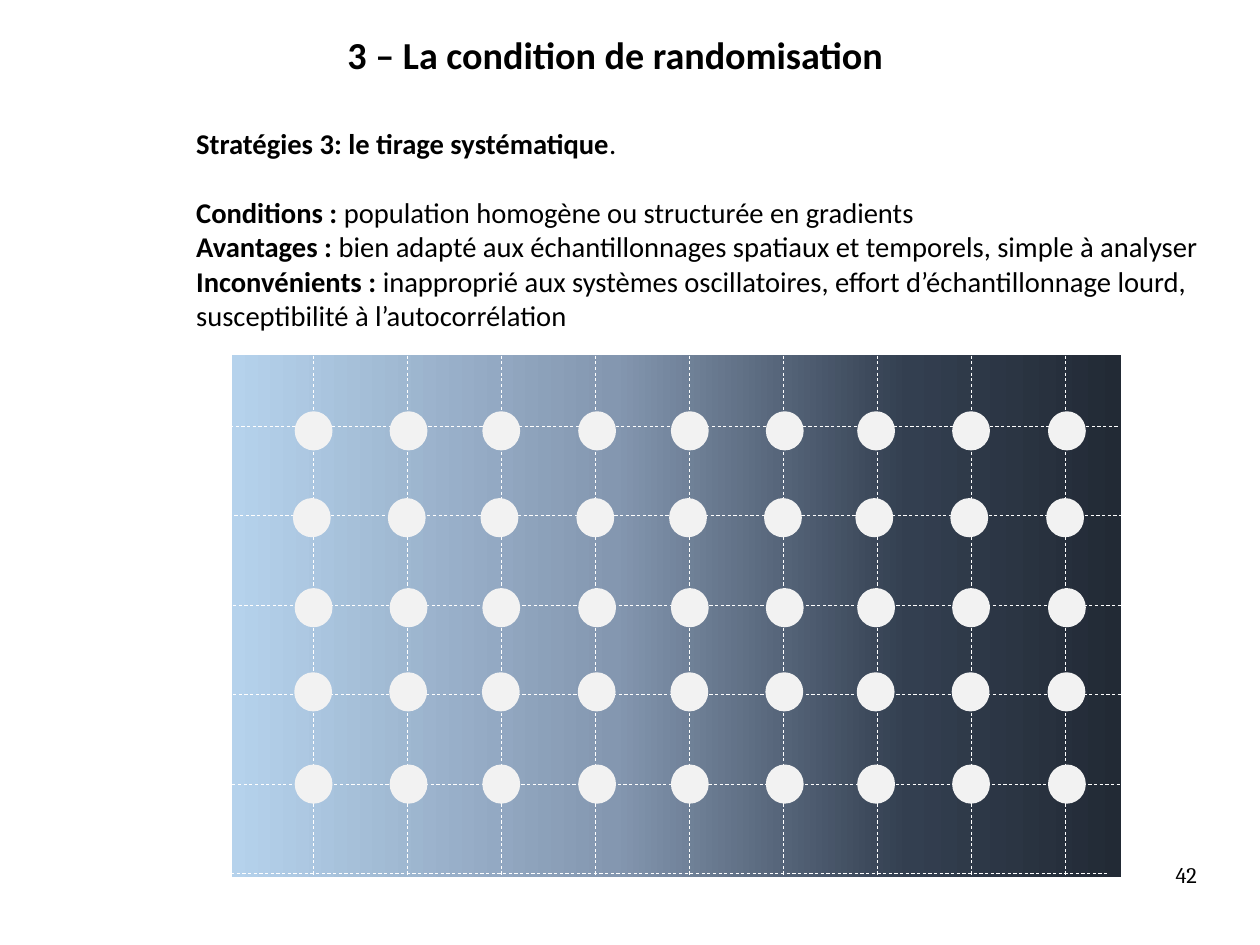
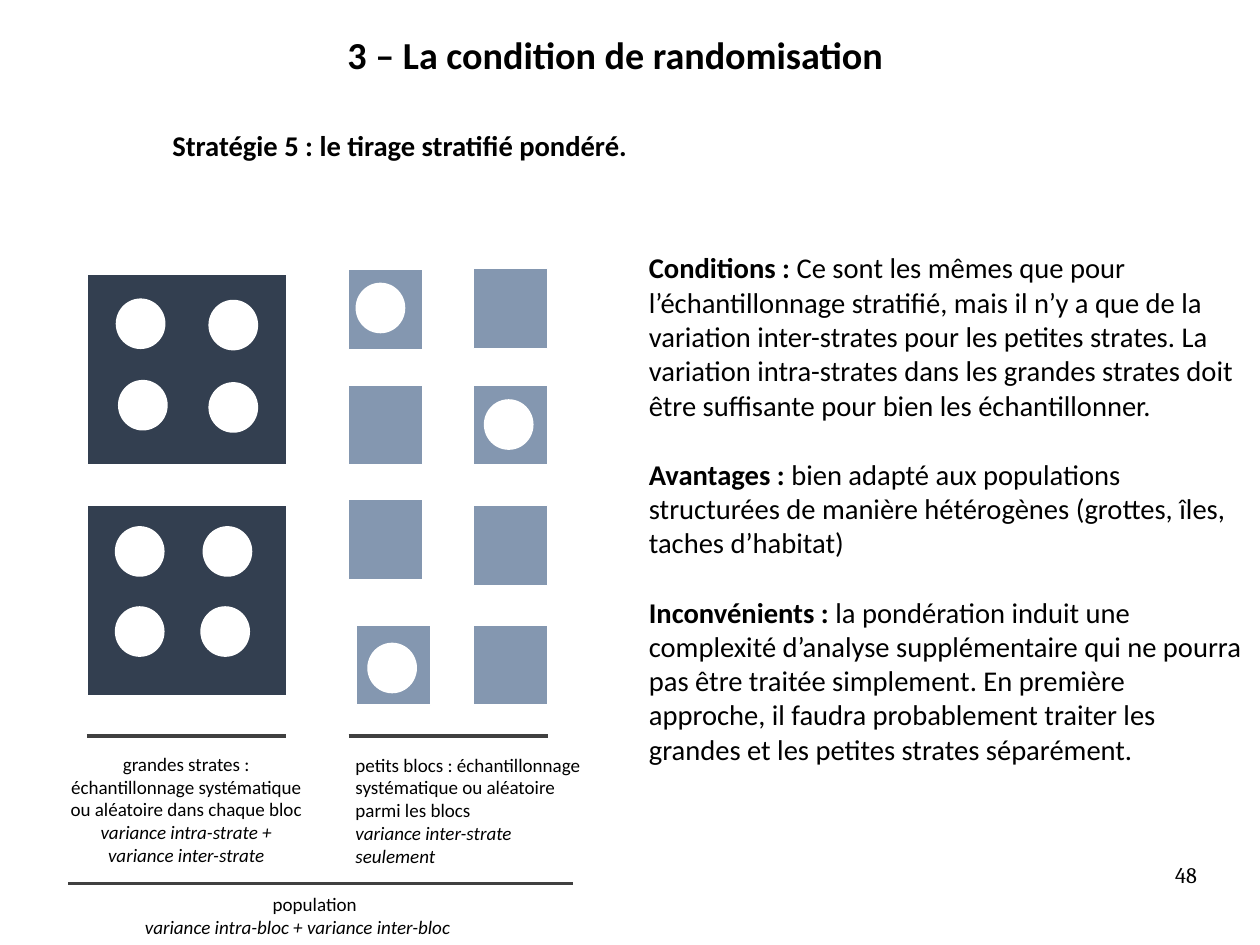
from pptx import Presentation
from pptx import util as u
from pptx.dml.color import RGBColor
from pptx.enum import dml, shapes, text
from pptx.oxml import parse_xml
from pptx.oxml.ns import nsdecls, qn

# Shared style
BLACK, WHITE, DOT, RULE = "000000", "FFFFFF", "F2F2F2", "404040"
DARK, MEDIUM = "333F50", "8497B0"
GRADIENT = [(0, "B5D2EC"), (43, MEDIUM), (76, DARK), (100, "222A35")]
LEFT, CENTER, RIGHT, JUSTIFY = (text.PP_ALIGN.LEFT, text.PP_ALIGN.CENTER,
                                text.PP_ALIGN.RIGHT, text.PP_ALIGN.JUSTIFY)
TITLE = "3 – La condition de randomisation"
BLANK_LINE = 22  # points

# Text: paragraphs are (alignment, space before, runs); runs are (text, style)
SYSTEMATIC_TEXT = [
    (LEFT, 0, [("Stratégies 3: le tirage systématique", "b"), (".", "")]),
    (LEFT, BLANK_LINE, [("Conditions : ", "b"),
                        ("population homogène ou structurée en gradients", "")]),
    (LEFT, 0, [("Avantages : ", "b"),
               ("bien adapté aux échantillonnages spatiaux et temporels, simple à analyser", "")]),
    (LEFT, 0, [("Inconvénients : ", "b"),
               ("inapproprié aux systèmes oscillatoires, effort d’échantillonnage lourd, "
                "susceptibilité à l’autocorrélation", "")]),
]
STRATIFIED_HEADING = [(LEFT, 0, [("Stratégie 5 : le tirage stratifié pondéré.", "b")])]
STRATIFIED_TEXT = [
    (LEFT, 0, [("Conditions : ", "b"),
               ("Ce sont les mêmes que pour l’échantillonnage stratifié, mais il n’y a que de la "
                "variation inter-strates pour les petites strates. La variation intra-strates dans "
                "les grandes strates doit être suffisante pour bien les échantillonner.", "")]),
    (LEFT, BLANK_LINE, [("Avantages : ", "b"),
                        ("bien adapté aux populations structurées de manière hétérogènes "
                         "(grottes, îles, taches d’habitat)", "")]),
    (LEFT, BLANK_LINE, [("Inconvénients : ", "b"),
                        ("la pondération induit une complexité d’analyse supplémentaire qui ne "
                         "pourra pas être traitée simplement. En première approche, il faudra "
                         "probablement traiter les grandes et les petites strates séparément.", "")]),
]
CAPTIONS = [  # box, paragraphs
    ((1.27, 16.59, 5.74, 2.82), [
        (CENTER, 0, [("grandes strates : échantillonnage systématique ou aléatoire "
                      "dans chaque bloc", "")]),
        (CENTER, 0, [("variance intra-strate + variance inter-strate", "i")])]),
    ((7.65, 16.61, 5.74, 2.82), [
        (LEFT, 0, [("petits blocs : échantillonnage systématique ou aléatoire parmi les blocs", "")]),
        (LEFT, 0, [("variance inter-strate seulement", "i")])]),
    ((2.97, 19.71, 8.05, 1.27), [
        (CENTER, 0, [("population", "")]),
        (JUSTIFY, 0, [("variance intra-bloc + variance inter-bloc", "i")])]),
]

# Sampling grid, in cm
FIELD = (5.16, 7.9, 19.76, 11.58)
GRID_X, STEP_X, COLUMNS = 6.96, 2.09, 9
GRID_Y, STEP_Y = 9.47, 1.99
ROW_STARTS = [5.11, 5.21, 5.18, 5.18, 5.16, 4.88]
DOT_LEFTS = [6.55, 8.66, 10.72, 12.85, 14.91, 17.02, 19.05, 21.16, 23.29]
DOT_ROWS = [(9.14, 0), (11.07, -0.04), (13.07, 0), (14.94, -0.01), (16.99, 0)]  # top, shift
DOT_SIZE = (0.84, 0.87)

# Strata, in cm
STRATA = [  # size, colour, corners
    ((4.45, 4.24), DARK, [(1.93, 6.1), (1.93, 11.23)]),
    ((1.65, 1.78), MEDIUM, [(7.75, 5.99), (7.75, 8.56), (7.75, 11.1), (7.92, 13.89),
                            (10.52, 5.97), (10.52, 8.56), (10.52, 11.23), (10.52, 13.89)]),
]
SAMPLE_SIZE = (1.07, 1.09)
SAMPLES = [(2.59, 6.65), (4.65, 6.68), (2.64, 8.46), (4.65, 8.51),
           (2.57, 11.71), (4.52, 11.71), (2.57, 13.49), (4.47, 13.49),
           (8.18, 14.3), (10.77, 8.89), (7.92, 6.3)]
RULES = [(1.93, 6.35, 16.36), (7.75, 12.17, 16.36), (1.52, 12.73, 19.63)]  # from, to, y


def color(value):
    return RGBColor.from_string(value)


def add_text(slide, box, paragraphs, size, font="Calibri", inset=True):
    frame = slide.shapes.add_textbox(*map(u.Cm, box)).text_frame
    frame.word_wrap = True
    if not inset:
        frame.margin_left = frame.margin_right = frame.margin_top = frame.margin_bottom = 0
    for index, (alignment, before, runs) in enumerate(paragraphs):
        paragraph = frame.paragraphs[0] if index == 0 else frame.add_paragraph()
        paragraph.alignment = alignment
        paragraph.space_before = u.Pt(before)
        paragraph.font.name, paragraph.font.size = font, u.Pt(size)
        paragraph.font.color.rgb = color(BLACK)
        for words, style in runs:
            run = paragraph.add_run()
            run.text = words
            if style == "b":
                run.font.bold = True
            elif style == "i":
                run.font.italic = True


def add_shape(slide, kind, box, fill=None, outline=None):
    shape = slide.shapes.add_shape(kind, *map(u.Cm, box))
    shape.shadow.inherit = False
    if fill:
        shape.fill.solid()
        shape.fill.fore_color.rgb = color(fill)
    if outline:
        shape.line.color.rgb = color(outline)
        shape.line.width = u.Pt(1)
    else:
        shape.line.fill.background()
    return shape


def add_line(slide, ends, line_color, width, dashed=False):
    line = slide.shapes.add_connector(shapes.MSO_CONNECTOR.STRAIGHT, *map(u.Cm, ends))
    line.line.color.rgb = color(line_color)
    line.line.width = u.Pt(width)
    if dashed:
        line.line.dash_style = dml.MSO_LINE.DASH
    line.element.spPr.append(parse_xml(f"<a:effectLst {nsdecls('a')}/>"))


def set_gradient(shape, stops):
    shape.fill.gradient()
    shape.fill.gradient_angle = 0
    stop_list = shape.element.spPr.find(qn("a:gradFill")).find(qn("a:gsLst"))
    for stop in list(stop_list):
        stop_list.remove(stop)
    for position, value in stops:
        stop_list.append(parse_xml(f'<a:gs {nsdecls("a")} pos="{position * 1000}">'
                                   f'<a:srgbClr val="{value}"/></a:gs>'))


def add_slide(presentation, number):
    slide = presentation.slides.add_slide(presentation.slide_layouts[6])
    add_text(slide, (2.13, 0.58, 23.09, 1.27), [(CENTER, 0, [(TITLE, "b")])], 24)
    add_text(slide, (20.07, 19.13, 6.53, 1.45), [(RIGHT, 0, [(number, "")])], 14, "Cambria", False)
    return slide


def build_systematic(presentation):
    slide = add_slide(presentation, "42")
    add_text(slide, (4.11, 2.67, 23.32, 4.88), SYSTEMATIC_TEXT, 18)
    # Gradient field and its grid
    left, top, width, height = FIELD
    set_gradient(add_shape(slide, shapes.MSO_SHAPE.RECTANGLE, FIELD), GRADIENT)
    for column in range(COLUMNS):
        x = GRID_X + column * STEP_X
        add_line(slide, (x, top, x, top + height), WHITE, 0.5, True)
    for row, start in enumerate(ROW_STARTS):
        y = GRID_Y + row * STEP_Y
        add_line(slide, (start, y, start + width, y), WHITE, 0.5, True)
    # Sampling points
    for dot_left in DOT_LEFTS:
        for dot_top, shift in DOT_ROWS:
            add_shape(slide, shapes.MSO_SHAPE.OVAL, (dot_left + shift, dot_top, *DOT_SIZE), DOT)


def build_stratified(presentation):
    slide = add_slide(presentation, "48")
    add_text(slide, (3.58, 2.72, 20.22, 1.02), STRATIFIED_HEADING, 18)
    # Strata and samples
    for size, fill, corners in STRATA:
        for corner in corners:
            add_shape(slide, shapes.MSO_SHAPE.RECTANGLE, (*corner, *size), fill, WHITE)
    for corner in SAMPLES:
        add_shape(slide, shapes.MSO_SHAPE.OVAL, (*corner, *SAMPLE_SIZE), WHITE, WHITE)
    # Rules and captions
    for start, end, y in RULES:
        add_line(slide, (start, y, end, y), RULE, 2.25)
    for box, paragraphs in CAPTIONS:
        add_text(slide, box, paragraphs, 12)
    add_text(slide, (14.17, 5.44, 13.82, 12.57), STRATIFIED_TEXT, 18)


def main():
    presentation = Presentation()
    presentation.slide_width, presentation.slide_height = u.Cm(28), u.Cm(21)
    build_systematic(presentation)
    build_stratified(presentation)
    presentation.save("out.pptx")


if __name__ == "__main__":
    main()
